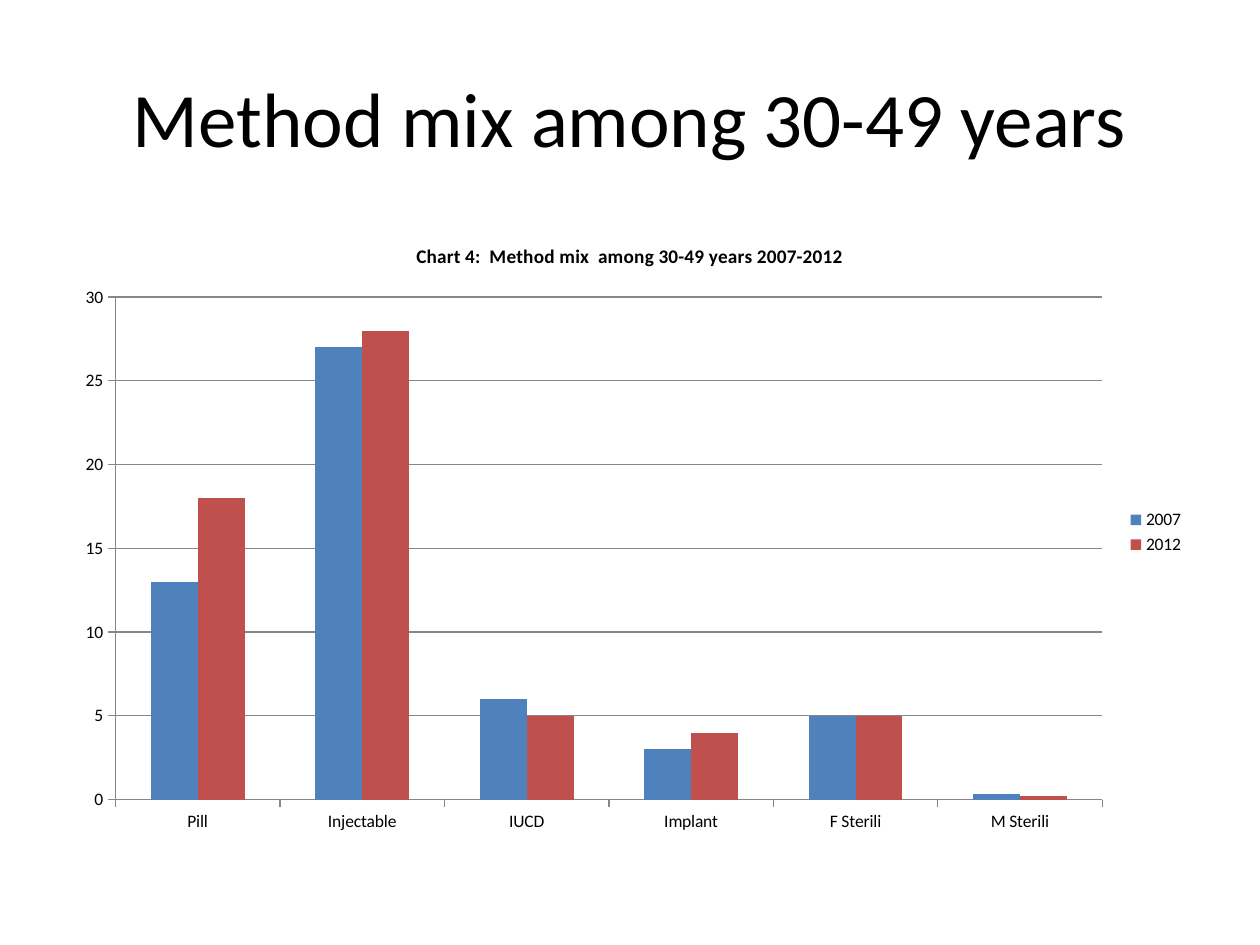
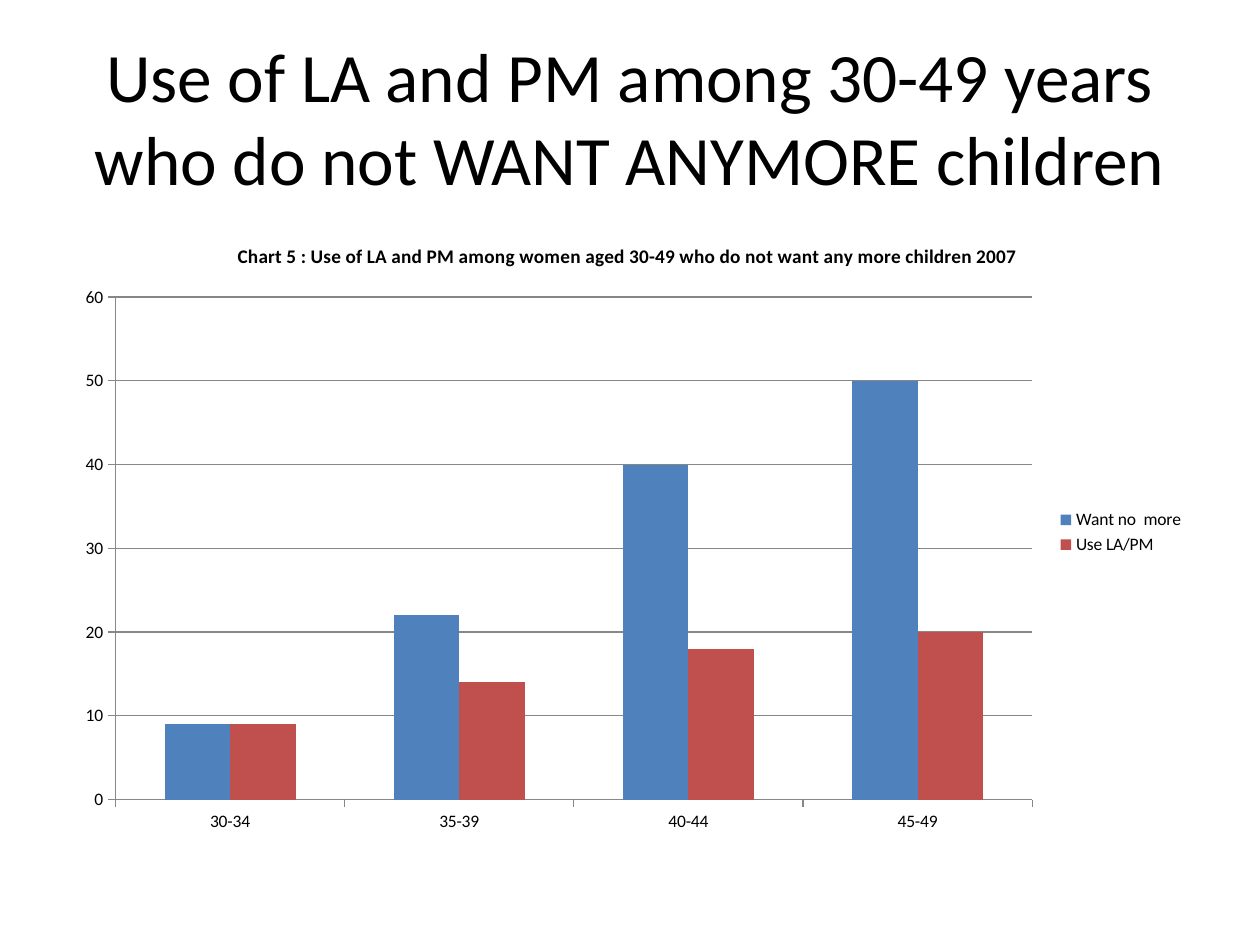
from pptx import Presentation
from pptx.chart.data import CategoryChartData
from pptx.dml.color import RGBColor
from pptx.enum.chart import XL_CHART_TYPE as ChartType
from pptx.enum.chart import XL_LEGEND_POSITION as LegendPosition
from pptx.enum.chart import XL_TICK_MARK as TickMark
from pptx.enum.text import MSO_ANCHOR as Anchor
from pptx.enum.text import MSO_AUTO_SIZE as AutoSize
from pptx.enum.text import PP_ALIGN as Align
from pptx.util import Inches, Pt


def color(hex_string):
    return RGBColor.from_string(hex_string)


def format_font(font, size, bold=False, name="Calibri", ink="000000"):
    font.name = name
    font.size = Pt(size)
    font.bold = bold
    font.color.rgb = color(ink)


def write(frame, text, size, bold=False, align=Align.CENTER):
    paragraph = frame.paragraphs[0]
    paragraph.alignment = align
    run = paragraph.add_run()
    run.text = text
    format_font(run.font, size, bold)


class Deck:
    title_box = [Inches(length) for length in (0.5, 0.3, 9, 1.25)]
    chart_box = [Inches(length) for length in (0.5, 1.75, 9, 4.95)]
    series_colors = ("4F81BD", "C0504D")
    line_color = "878787"

    def __init__(self):
        self.presentation = Presentation()
        self.presentation.slide_width = Inches(10)
        self.presentation.slide_height = Inches(7.5)
        self.slide = None

    def add_slide(self, title, size):
        layout = self.presentation.slide_layouts.get_by_name("Title Only")
        self.slide = self.presentation.slides.add_slide(layout)
        shape = self.slide.shapes.title
        shape.left, shape.top, shape.width, shape.height = self.title_box
        frame = shape.text_frame
        frame.word_wrap = True
        frame.auto_size = AutoSize.NONE
        frame.vertical_anchor = Anchor.MIDDLE
        write(frame, title, size)

    def style_line(self, line):
        line.color.rgb = color(self.line_color)
        line.width = Pt(0.75)

    def add_columns(self, title, categories, series, maximum, step):
        data = CategoryChartData()
        data.categories = categories
        for name, values in series.items():
            data.add_series(name, values)
        chart = self.slide.shapes.add_chart(
            ChartType.COLUMN_CLUSTERED, *self.chart_box, data
        ).chart
        format_font(chart.font, 10)
        chart.has_title = True
        write(chart.chart_title.text_frame, title, 11, bold=True)
        chart.chart_title.include_in_layout = False
        chart.has_legend = True
        chart.legend.position = LegendPosition.RIGHT
        chart.legend.include_in_layout = False

        for axis in (chart.category_axis, chart.value_axis):
            axis.major_tick_mark = TickMark.OUTSIDE
            axis.minor_tick_mark = TickMark.NONE
            self.style_line(axis.format.line)
        axis = chart.value_axis
        axis.minimum_scale = 0
        axis.maximum_scale = maximum
        axis.major_unit = step
        axis.has_major_gridlines = True
        self.style_line(axis.major_gridlines.format.line)

        plot = chart.plots[0]
        plot.gap_width = 150
        plot.overlap = 0
        plot.vary_by_categories = False
        for columns, fill_color in zip(plot.series, self.series_colors):
            columns.invert_if_negative = False
            columns.format.fill.solid()
            columns.format.fill.fore_color.rgb = color(fill_color)


deck = Deck()

deck.add_slide("Method mix among 30-49 years", 44)
deck.add_columns(
    "Chart 4:  Method mix  among 30-49 years 2007-2012",
    ["Pill", "Injectable", "IUCD", "Implant", "F Sterili", "M Sterili"],
    {"2007": [13, 27, 6, 3, 5, 0.3], "2012": [18, 28, 5, 4, 5, 0.2]},
    maximum=30,
    step=5,
)

deck.add_slide(
    "Use of LA and PM among 30-49 years who do not WANT ANYMORE children", 39.6
)
deck.add_columns(
    "Chart 5 : Use of LA and PM among women aged 30-49 "
    "who do not want any more children 2007 ",
    ["30-34", "35-39", "40-44", "45-49"],
    {"Want no  more": [9, 22, 40, 50], "Use LA/PM": [9, 14, 18, 20]},
    maximum=60,
    step=10,
)

deck.presentation.save("out.pptx")
